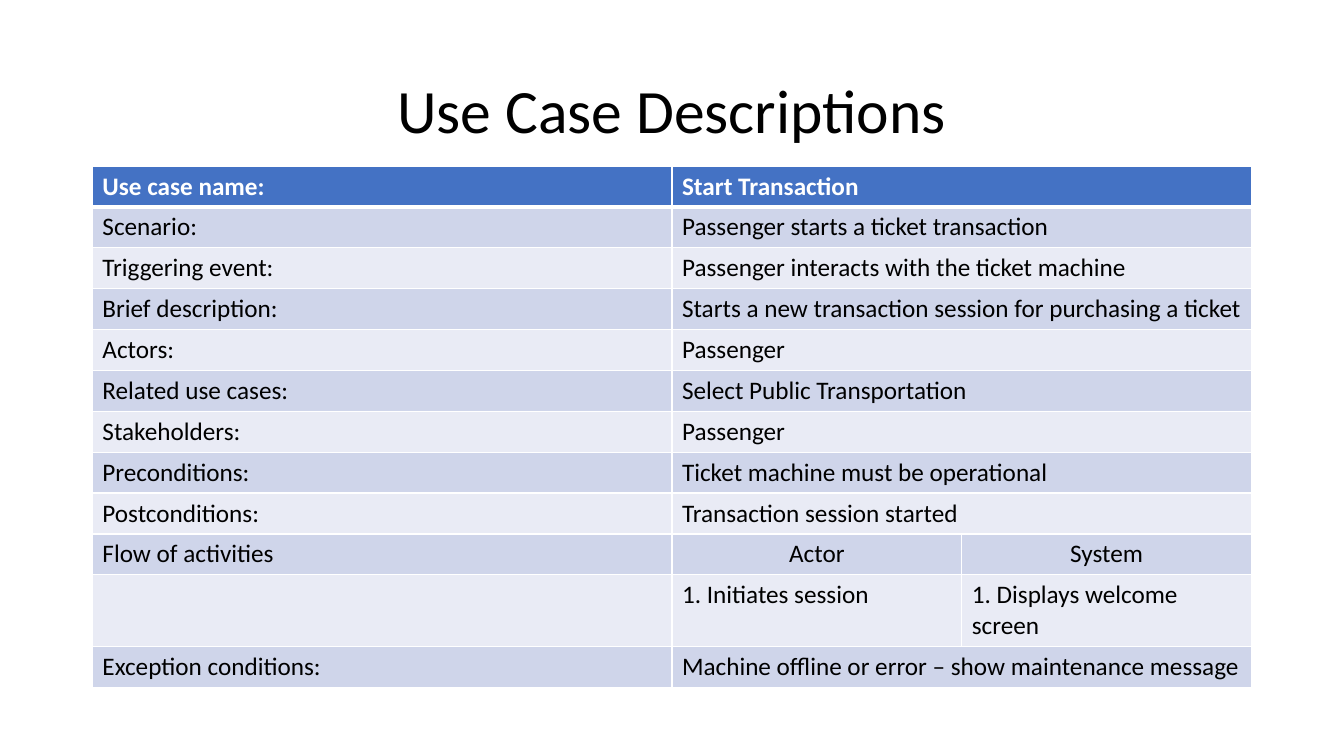
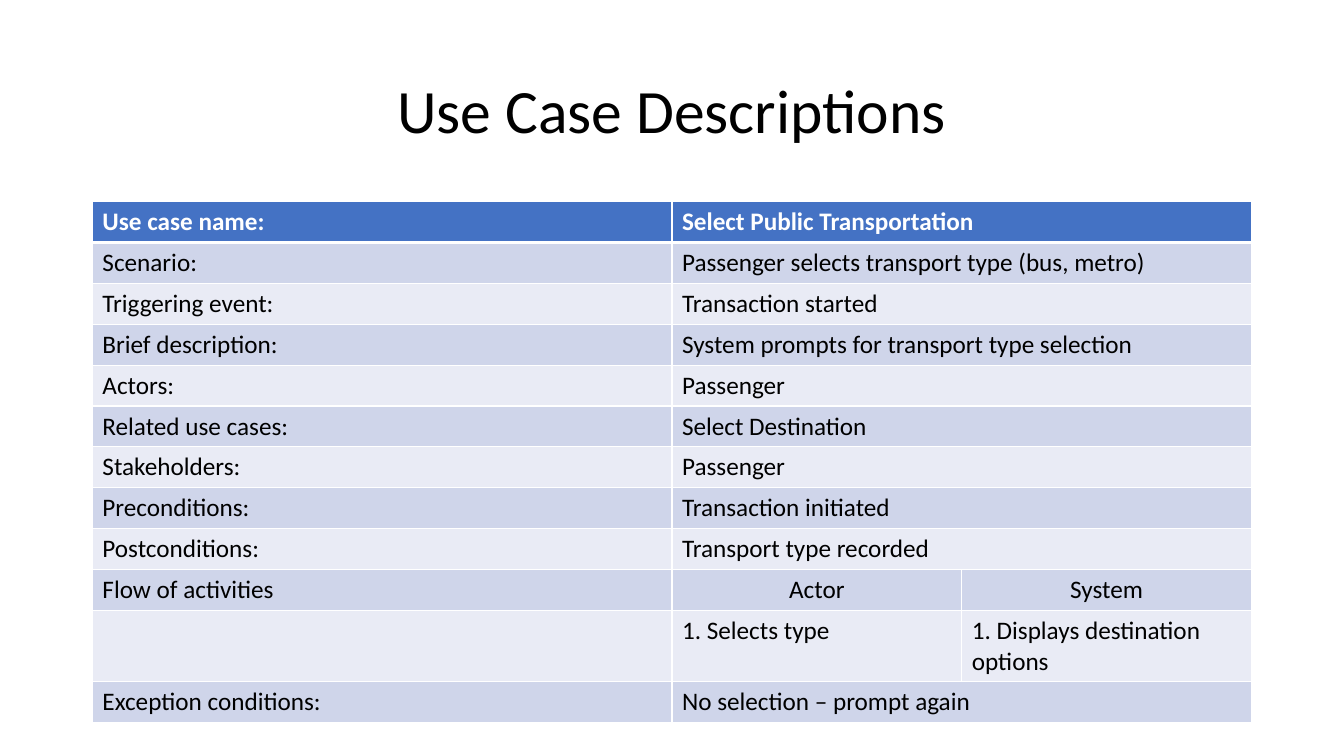
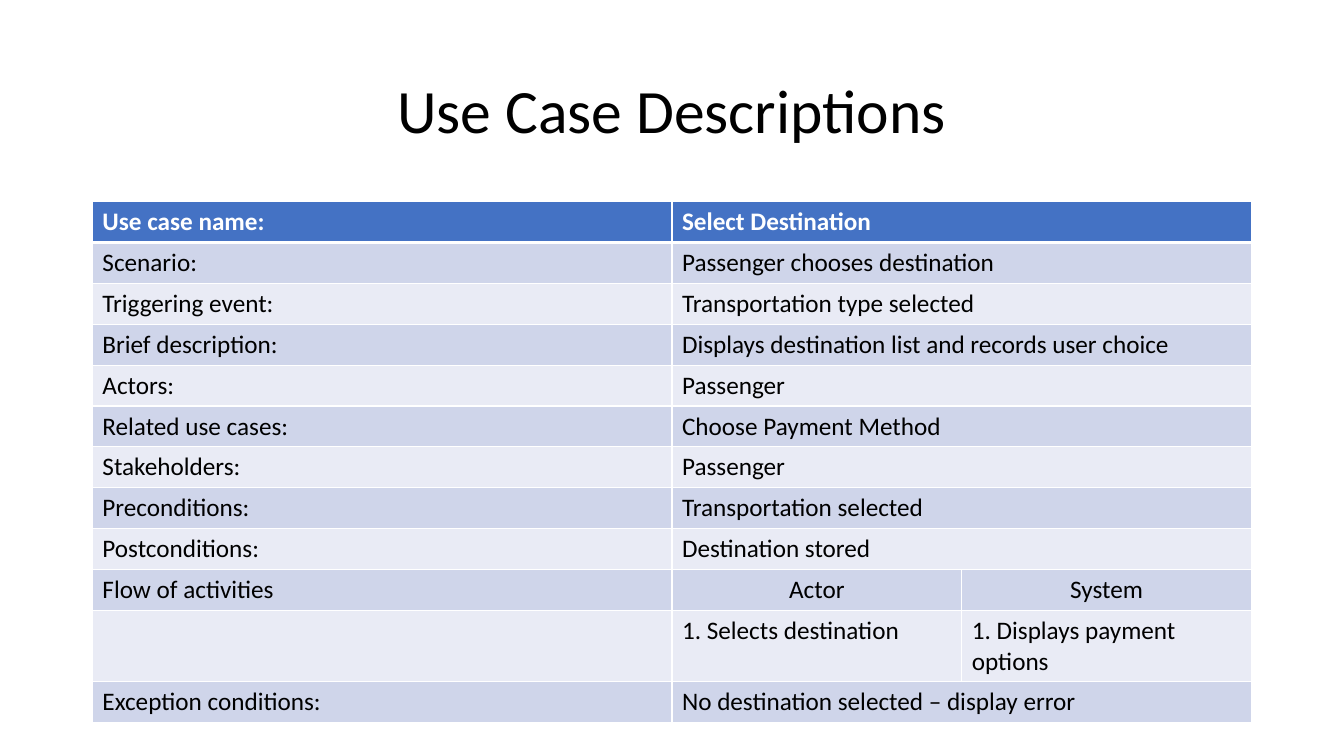
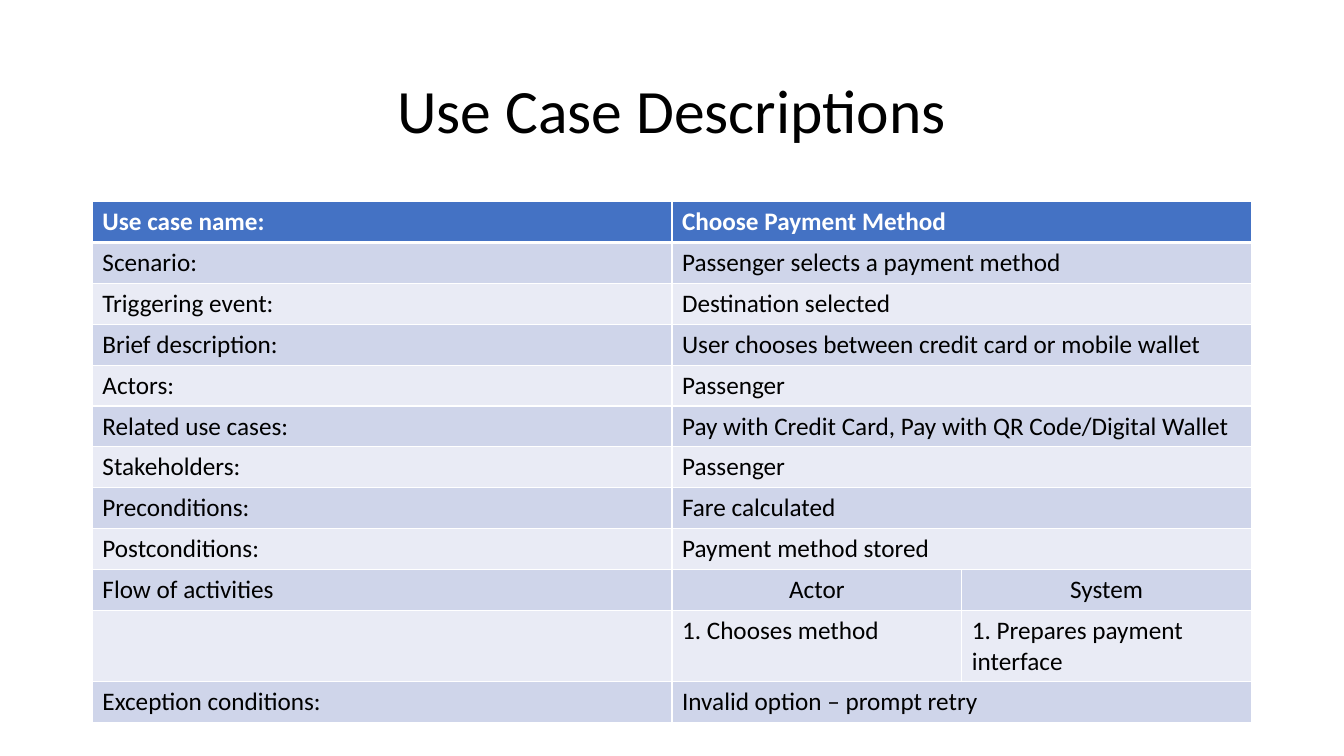
from dataclasses import dataclass
from typing import NamedTuple

from lxml.etree import SubElement
from pptx import Presentation
from pptx.dml.color import RGBColor
from pptx.enum.text import MSO_ANCHOR as Anchor, PP_ALIGN as Align
from pptx.oxml.ns import qn
from pptx.util import Pt


@dataclass(frozen=True)
class Theme:
    font: str = "Calibri"
    title_size: float = 44
    body_size: float = 18
    ink: str = "000000"
    paper: str = "FFFFFF"
    header: str = "4472C4"
    bands: tuple = ("E9EBF5", "CFD5EA")
    thin_line: float = 1
    header_line: float = 3


class Box(NamedTuple):
    left: float
    top: float
    width: float
    height: float


class UseCase(NamedTuple):
    name: str
    scenario: str
    trigger: str
    description: str
    related: str
    precondition: str
    postcondition: str
    actor_step: str
    system_step: str
    exception: str
    table_top: float = 144


THEME = Theme()
SLIDE_SIZE = (960, 540)
MARGIN = 66
CONTENT_WIDTH = SLIDE_SIZE[0] - 2 * MARGIN
TITLE_BOX = Box(MARGIN, 28.75, CONTENT_WIDTH, 104.4)
ROW_HEIGHT = 29.2
FLOW_ROW_HEIGHT = 51.1
COLUMN_SHARES = (0.5, 0.25, 0.25)

USE_CASES = (
    UseCase(
        name="Start Transaction",
        scenario="Passenger starts a ticket transaction",
        trigger="Passenger interacts with the ticket machine",
        description="Starts a new transaction session for purchasing a ticket",
        related="Select Public Transportation",
        precondition="Ticket machine must be operational",
        postcondition="Transaction session started",
        actor_step="1. Initiates session",
        system_step="1. Displays welcome screen",
        exception="Machine offline or error – show maintenance message",
        table_top=118.6,
    ),
    UseCase(
        name="Select Public Transportation",
        scenario="Passenger selects transport type (bus, metro)",
        trigger="Transaction started",
        description="System prompts for transport type selection",
        related="Select Destination",
        precondition="Transaction initiated",
        postcondition="Transport type recorded",
        actor_step="1. Selects type",
        system_step="1. Displays destination options",
        exception="No selection – prompt again",
    ),
    UseCase(
        name="Select Destination",
        scenario="Passenger chooses destination",
        trigger="Transportation type selected",
        description="Displays destination list and records user choice",
        related="Choose Payment Method",
        precondition="Transportation selected",
        postcondition="Destination stored",
        actor_step="1. Selects destination",
        system_step="1. Displays payment options",
        exception="No destination selected – display error",
    ),
    UseCase(
        name="Choose Payment Method",
        scenario="Passenger selects a payment method",
        trigger="Destination selected",
        description="User chooses between credit card or mobile wallet",
        related="Pay with Credit Card, Pay with QR Code/Digital Wallet",
        precondition="Fare calculated",
        postcondition="Payment method stored",
        actor_step="1. Chooses method",
        system_step="1. Prepares payment interface",
        exception="Invalid option – prompt retry",
    ),
)


def write_text(frame, text, size=THEME.body_size, color=THEME.ink, bold=False,
               align=Align.LEFT, line_spacing=1.0):
    paragraph = frame.paragraphs[0]
    paragraph.text = text
    paragraph.alignment = align
    paragraph.line_spacing = line_spacing
    font = paragraph.font
    font.name, font.size, font.bold = THEME.font, Pt(size), bold
    font.color.rgb = RGBColor.from_string(color)


def style_cell(cell, fill, top_line, bottom_line):
    properties = cell._tc.get_or_add_tcPr()
    widths = {"L": THEME.thin_line, "R": THEME.thin_line, "T": top_line, "B": bottom_line}
    for side, width in widths.items():
        line = SubElement(properties, qn(f"a:ln{side}"), w=str(Pt(width)))
        SubElement(SubElement(line, qn("a:solidFill")), qn("a:srgbClr"), val=THEME.paper)
    cell.fill.solid()
    cell.fill.fore_color.rgb = RGBColor.from_string(fill)


def use_case_rows(case):
    """Rows of label and values; a row with one value spans both value columns."""
    return (
        ("Use case name:", case.name),
        ("Scenario:", case.scenario),
        ("Triggering event:", case.trigger),
        ("Brief description:", case.description),
        ("Actors:", "Passenger"),
        ("Related use cases:", case.related),
        ("Stakeholders:", "Passenger"),
        ("Preconditions:", case.precondition),
        ("Postconditions:", case.postcondition),
        ("Flow of activities", "Actor", "System"),
        ("", case.actor_step, case.system_step),
        ("Exception conditions:", case.exception),
    )


def add_title(slide, box, text):
    frame = slide.shapes.add_textbox(*map(Pt, box)).text_frame
    frame.word_wrap = True
    frame.vertical_anchor = Anchor.MIDDLE
    write_text(frame, text, size=THEME.title_size, align=Align.CENTER, line_spacing=0.9)


def add_use_case_table(slide, box, rows):
    shape = slide.shapes.add_table(len(rows), len(COLUMN_SHARES), *map(Pt, box))
    table = shape.table
    for column, share in zip(table.columns, COLUMN_SHARES):
        column.width = Pt(box.width * share)
    for index, texts in enumerate(rows):
        is_header = index == 0
        fill = THEME.header if is_header else THEME.bands[index % 2]
        top_line = THEME.header_line if index == 1 else THEME.thin_line
        bottom_line = THEME.header_line if is_header else THEME.thin_line
        table.rows[index].height = Pt(ROW_HEIGHT if texts[0] else FLOW_ROW_HEIGHT)
        cells = list(table.rows[index].cells)
        for cell in cells:
            style_cell(cell, fill, top_line, bottom_line)
        if len(texts) == 2:
            cells[1].merge(cells[2])
        for cell, text in zip(cells, texts):
            write_text(cell.text_frame, text, bold=is_header,
                       color=THEME.paper if is_header else THEME.ink,
                       align=Align.CENTER if text in ("Actor", "System") else Align.LEFT)


def add_use_case_slide(presentation, case):
    slide = presentation.slides.add_slide(presentation.slide_layouts[6])
    rows = use_case_rows(case)
    height = ROW_HEIGHT * (len(rows) - 1) + FLOW_ROW_HEIGHT
    add_title(slide, TITLE_BOX, "Use Case Descriptions")
    add_use_case_table(slide, Box(MARGIN, case.table_top, CONTENT_WIDTH, height), rows)


def main():
    presentation = Presentation()
    presentation.slide_width, presentation.slide_height = map(Pt, SLIDE_SIZE)
    for case in USE_CASES:
        add_use_case_slide(presentation, case)
    presentation.save("out.pptx")


if __name__ == "__main__":
    main()
